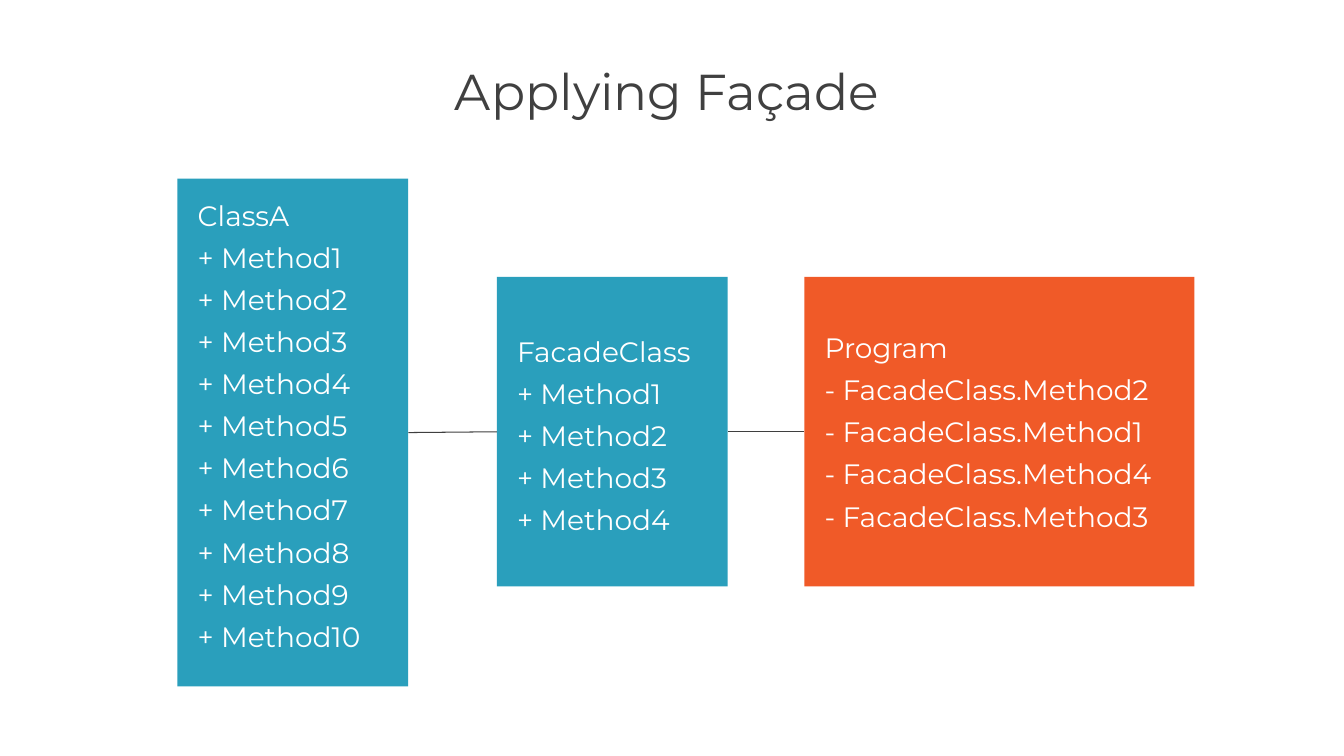
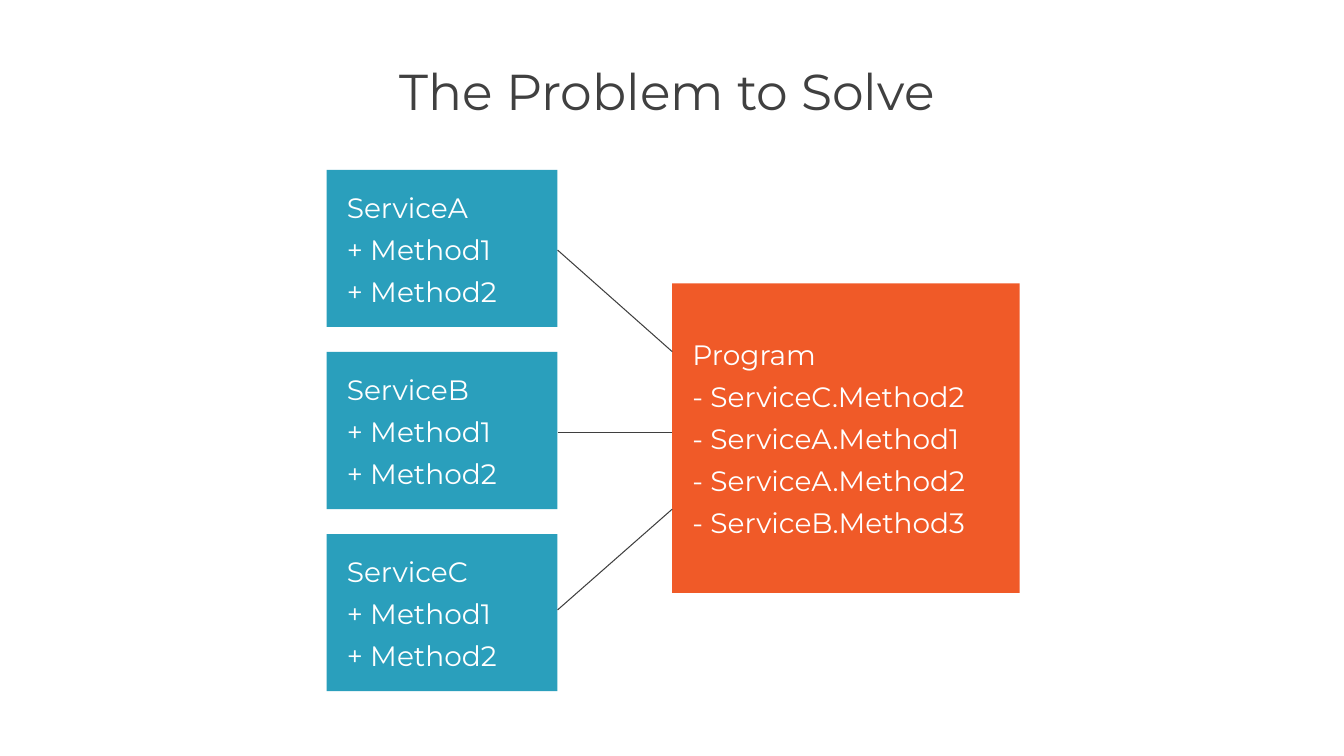
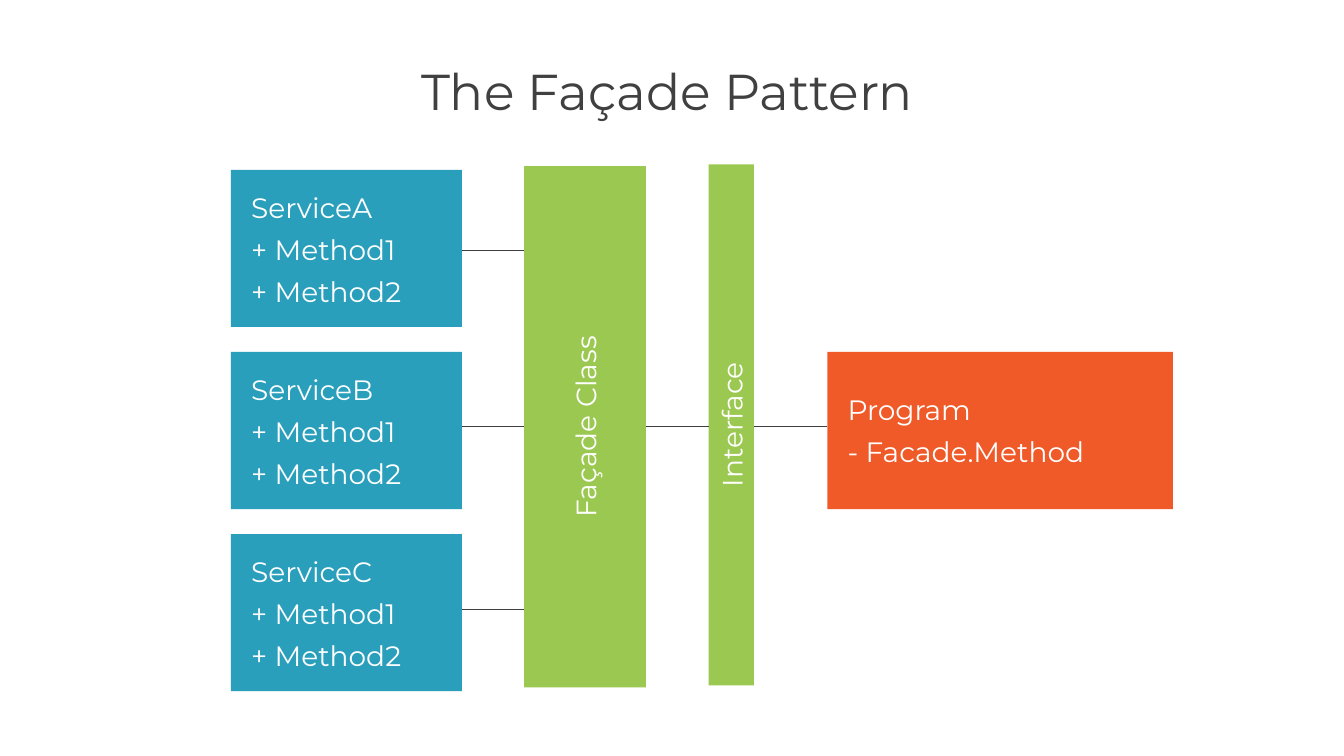
from dataclasses import dataclass

from lxml.etree import SubElement
from pptx import Presentation
from pptx.dml.color import RGBColor
from pptx.enum.shapes import MSO_CONNECTOR as Connector, MSO_SHAPE as Preset
from pptx.enum.text import MSO_ANCHOR as Anchor, MSO_AUTO_SIZE as AutoSize, PP_ALIGN as Align
from pptx.oxml.ns import qn
from pptx.util import Cm, Pt

FONT = "Montserrat"
BLUE, ORANGE, GREEN = "2A9FBC", "F05A28", "9BC850"
WHITE, TITLE_GREY, LINE_GREY = "FFFFFF", "404040", "3F3F3F"
INSET = 0.51
CLASS_WIDTH = 5.82
SERVICE_HEIGHT, SERVICE_TOP, SERVICE_PITCH = 3.96, 4.28, 4.59


@dataclass
class Box:
    left: float
    top: float
    width: float
    height: float

    @property
    def right(self):
        return self.left + self.width

    @property
    def middle(self):
        return self.top + self.height / 2

    def lengths(self):
        return [Cm(value) for value in (self.left, self.top, self.width, self.height)]


TITLE_BOX = Box(1.96, 1.63, 29.95, 1.22)


def colour(code):
    return RGBColor.from_string(code)


def set_insets(frame, left, top, right, bottom):
    frame.margin_left, frame.margin_top = Cm(left), Cm(top)
    frame.margin_right, frame.margin_bottom = Cm(right), Cm(bottom)


def add_span(para, text, size, code):
    span = para.add_run()
    span.text = text
    span.font.name = FONT
    span.font.size = Pt(size)
    span.font.color.rgb = colour(code)


def add_page(deck, text):
    page = deck.slides.add_slide(deck.slide_layouts[5])
    title = page.shapes.title
    title.left, title.top, title.width, title.height = TITLE_BOX.lengths()
    frame = title.text_frame
    frame.word_wrap = True
    frame.auto_size = AutoSize.NONE
    frame.vertical_anchor = Anchor.TOP
    set_insets(frame, 0, 0.13, 0.25, 0.13)
    para = frame.paragraphs[0]
    para.alignment = Align.CENTER
    para.line_spacing = 0.85
    add_span(para, text, 36, TITLE_GREY)
    return page


def add_panel(page, box, fill, lines, anchor=Anchor.MIDDLE, align=Align.LEFT, lowered=0):
    panel = page.shapes.add_shape(Preset.RECTANGLE, *box.lengths())
    panel.shadow.inherit = False
    panel.fill.solid()
    panel.fill.fore_color.rgb = colour(fill)
    panel.line.fill.background()
    frame = panel.text_frame
    frame.word_wrap = True
    frame.vertical_anchor = anchor
    set_insets(frame, INSET, INSET + lowered, INSET, INSET)
    for index, line in enumerate(lines):
        para = frame.add_paragraph() if index else frame.paragraphs[0]
        para.alignment = align
        para.space_before = Pt(6)
        add_span(para, line, 20, WHITE)
    return panel


def add_upright_panel(page, box, text):
    panel = add_panel(page, box, GREEN, [text], align=Align.CENTER)
    panel.element.txBody.bodyPr.set("vert", "vert270")


def add_link(page, left, start, right, end):
    link = page.shapes.add_connector(Connector.STRAIGHT, Cm(left), Cm(start), Cm(right), Cm(end))
    link.line.color.rgb = colour(LINE_GREY)
    link.line.width = Pt(0.75)
    SubElement(link.element.spPr, qn("a:effectLst"))


def methods(name, count):
    return [name] + [f"+ Method{number}" for number in range(1, count + 1)]


def calls(*names):
    return ["Program"] + [f"- {name}" for name in names]


def add_services(page, left):
    for index, letter in enumerate("ABC"):
        box = Box(left, SERVICE_TOP + index * SERVICE_PITCH, CLASS_WIDTH, SERVICE_HEIGHT)
        add_panel(page, box, BLUE, methods(f"Service{letter}", 2), Anchor.TOP)
    return left + CLASS_WIDTH


def build_applying(deck):
    page = add_page(deck, "Applying Façade")
    class_box = Box(4.47, 4.5, CLASS_WIDTH, 12.8)
    facade_box = Box(12.52, 6.98, CLASS_WIDTH, 7.8)
    program_box = Box(20.27, 6.98, 9.83, 7.8)
    add_panel(page, class_box, BLUE, methods("ClassA", 10), Anchor.TOP)
    add_panel(page, facade_box, BLUE, methods("FacadeClass", 4), lowered=0.2)
    add_panel(page, program_box, ORANGE,
              calls(*[f"FacadeClass.Method{number}" for number in (2, 1, 4, 3)]))
    for start, end in ((class_box, facade_box), (facade_box, program_box)):
        add_link(page, start.right, start.middle, end.left, end.middle)


def build_problem(deck):
    page = add_page(deck, "The Problem to Solve")
    program_box = Box(16.94, 7.14, 8.76, 7.8)
    edge = add_services(page, 8.23)
    add_panel(page, program_box, ORANGE,
              calls("ServiceC.Method2", "ServiceA.Method1", "ServiceA.Method2", "ServiceB.Method3"))
    for start, end in ((6.3, 8.86), (10.9, 10.9), (15.37, 12.83)):
        add_link(page, edge, start, program_box.left, end)


def build_pattern(deck):
    page = add_page(deck, "The Façade Pattern")
    facade_box = Box(13.21, 4.19, 3.07, 13.13)
    interface_box = Box(17.86, 4.14, 1.14, 13.13)
    program_box = Box(20.85, 8.87, 8.71, SERVICE_HEIGHT)
    edge = add_services(page, 5.82)
    add_panel(page, program_box, ORANGE, calls("Facade.Method"))
    add_upright_panel(page, facade_box, "Façade Class")
    add_upright_panel(page, interface_box, "Interface")
    for height in (6.3, 10.74, 15.37):
        add_link(page, edge, height, facade_box.left, height)
    for start, end in ((facade_box, interface_box), (interface_box, program_box)):
        add_link(page, start.right, 10.74, end.left, 10.74)


def main():
    deck = Presentation()
    deck.slide_width, deck.slide_height = Cm(33.87), Cm(19.05)
    for build in (build_applying, build_problem, build_pattern):
        build(deck)
    deck.save("out.pptx")


if __name__ == "__main__":
    main()
